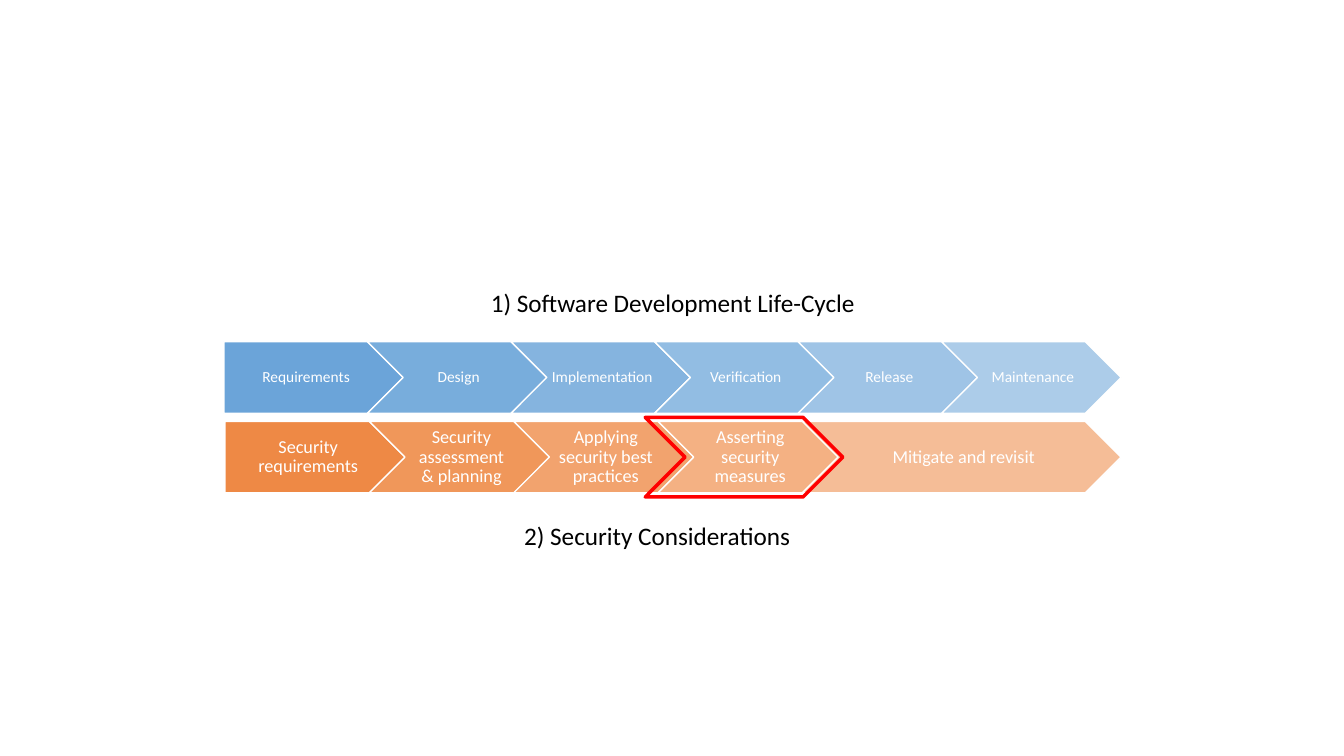
from lxml.etree import SubElement
from pptx import Presentation
from pptx.dml.color import RGBColor
from pptx.enum.shapes import MSO_SHAPE as Preset
from pptx.enum.text import MSO_ANCHOR as Anchor, MSO_AUTO_SIZE as AutoSize, PP_ALIGN as Align
from pptx.oxml.ns import qn
from pptx.util import Inches, Pt

FONT = "Calibri"
WHITE = RGBColor(0xFF, 0xFF, 0xFF)
BLACK = RGBColor(0, 0, 0)
RED = RGBColor(0xFF, 0, 0)
BLUE = RGBColor(0x5B, 0x9B, 0xD5)
ORANGE = RGBColor(0xED, 0x7D, 0x31)

ROW_HEIGHT = 0.71
PITCH = 0.8  # each step starts at this share of the previous step's width

LIFE_CYCLE = ["Requirements", "Design", "Implementation",
              "Verification", "Release", "Maintenance"]
SECURITY = ["Security requirements", "Security assessment & planning",
            "Applying security best practices", "Asserting security measures",
            "Mitigate and revisit"]


def style_font(para, size, color):
    """Set the font of a whole paragraph."""
    para.font.name = FONT
    para.font.size = Pt(size)
    para.font.color.rgb = color


def add_outlined(shapes, preset, place, color, weight):
    """Add a preset shape with a coloured outline and no shadow."""
    shape = shapes.add_shape(preset, *map(Inches, place))
    shape.shadow.inherit = False
    shape.line.color.rgb = color
    shape.line.width = Pt(weight)
    return shape


def fill_translucent(shape, color, opacity):
    """Fill a shape with a colour of the given opacity in percent."""
    shape.fill.solid()
    shape.fill.fore_color.rgb = color
    color_node = shape.fill._xPr.find(qn("a:solidFill"))[0]
    SubElement(color_node, qn("a:alpha"), val=str(round(opacity * 1000)))


def write_label(shape, label, size, margins):
    """Write centred white text inside a step."""
    frame = shape.text_frame
    frame.word_wrap = True
    frame.vertical_anchor = Anchor.MIDDLE
    (frame.margin_left, frame.margin_top,
     frame.margin_right, frame.margin_bottom) = map(Inches, margins)
    para = frame.paragraphs[0]
    para.text = label
    para.alignment = Align.CENTER
    para.line_spacing = 0.9
    style_font(para, size, WHITE)


def add_process(page, labels, left, top, width, color, size, margins, last_width=None):
    """Add a row of arrow steps that fade from 90 to 50 percent opacity."""
    group = page.shapes.add_group_shape()
    last = len(labels) - 1
    for index, label in enumerate(labels):
        preset = Preset.CHEVRON if index else Preset.PENTAGON
        step_width = last_width if last_width and index == last else width
        place = (left + index * width * PITCH, top, step_width, ROW_HEIGHT)
        step = add_outlined(group.shapes, preset, place, WHITE, 1)
        fill_translucent(step, color, 90 - 40 * index / last)
        write_label(step, label, size, margins)


def add_heading(page, text, left, top, width):
    """Add a one-line heading."""
    box = page.shapes.add_textbox(*map(Inches, (left, top, width, 0.4)))
    frame = box.text_frame
    frame.word_wrap = False
    frame.auto_size = AutoSize.SHAPE_TO_FIT_TEXT
    para = frame.paragraphs[0]
    para.text = text
    style_font(para, 18, BLACK)


def main():
    """Build the slide and save it."""
    deck = Presentation()
    deck.slide_width, deck.slide_height = Inches(13.33), Inches(7.5)
    page = deck.slides.add_slide(deck.slide_layouts[6])

    add_process(page, LIFE_CYCLE, 2.22, 3.39, 1.78, BLUE, 11, (0.05, 0.03, 0.02, 0.03))
    add_process(page, SECURITY, 2.23, 4.18, 1.79, ORANGE, 13,
                (0.06, 0.04, 0.02, 0.04), last_width=3.16)
    highlight = add_outlined(page.shapes, Preset.CHEVRON, (6.4, 4.14, 1.96, 0.79), RED, 2.5)
    highlight.fill.background()

    add_heading(page, "1) Software Development Life-Cycle", 4.77, 2.8, 3.86)
    add_heading(page, "2) Security Considerations", 5.1, 5.11, 2.87)
    deck.save("out.pptx")


main()
